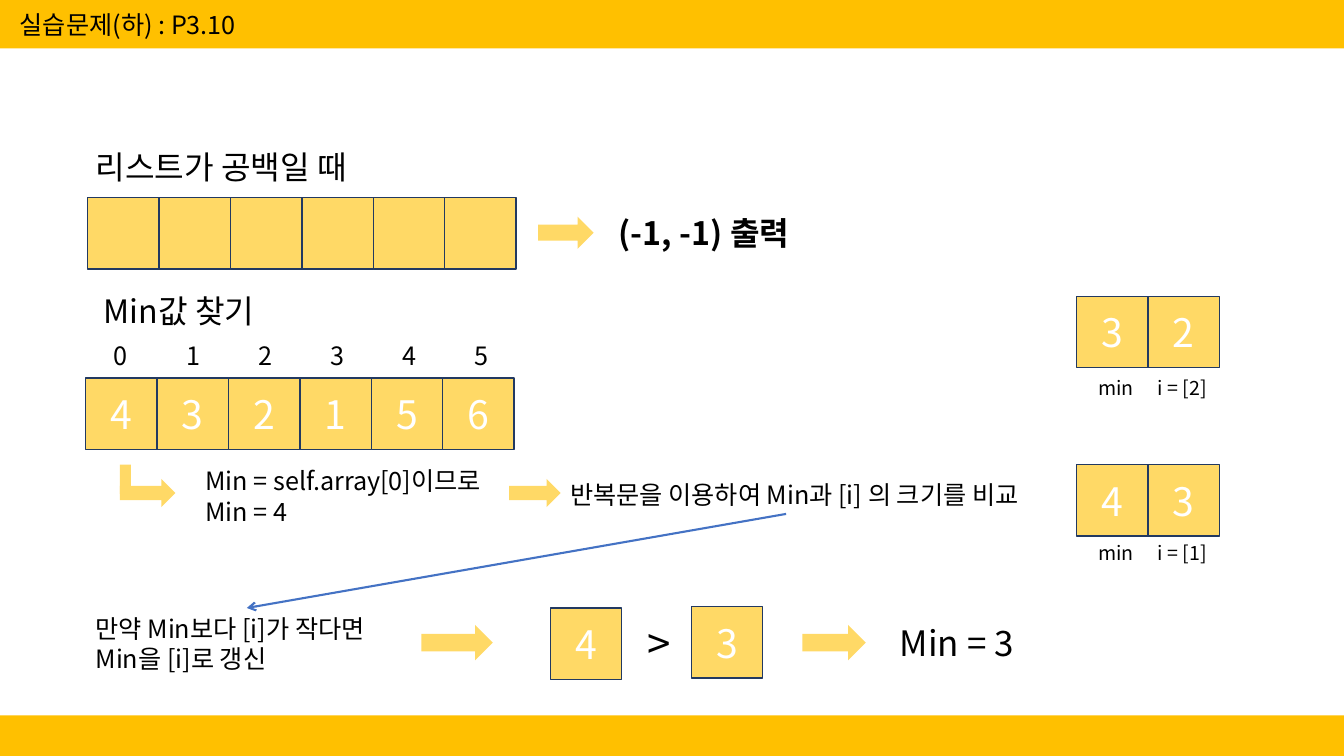
from lxml import etree
from pptx import Presentation
from pptx.dml.color import RGBColor
from pptx.enum import shapes, text
from pptx.oxml import ns
from pptx.util import Cm, Pt

COLORS = {"bar": "FFC000", "cell": "FFD966", "edge": "223961",
          "line": "4472C4", "dark": "000000", "light": "FFFFFF"}
FONT = "Noto Sans CJK KR"
WIDE, HIGH = 33.87, 19.05
SIDE = 1.8


def color(name):
    return RGBColor.from_string(COLORS[name])


def write(frame, words, size=18, tone="dark", bold=False, align=text.PP_ALIGN.LEFT):
    """Fill a text frame, one paragraph per line of words."""
    for n, line in enumerate(words.split("\n")):
        para = frame.add_paragraph() if n else frame.paragraphs[0]
        para.alignment = align
        run = para.add_run()
        run.text = line
        font = run.font
        font.size, font.bold, font.name = Pt(size), bold, FONT
        font.color.rgb = color(tone)
        asian = etree.SubElement(run._r.get_or_add_rPr(), ns.qn("a:ea"))
        asian.set("typeface", FONT)


class Board:
    def __init__(self, slide):
        self.items = slide.shapes

    def block(self, x, y, w, h, fill="cell", kind=shapes.MSO_SHAPE.RECTANGLE):
        shape = self.items.add_shape(kind, Cm(x), Cm(y), Cm(w), Cm(h))
        shape.shadow.inherit = False
        shape.fill.solid()
        shape.fill.fore_color.rgb = color(fill)
        shape.line.fill.background()
        return shape

    def arrow(self, x, y, w, h):
        self.block(x, y, w, h, kind=shapes.MSO_SHAPE.RIGHT_ARROW)

    def cell(self, x, y, words=""):
        shape = self.block(x, y, SIDE, SIDE)
        shape.line.color.rgb = color("edge")
        shape.line.width = Pt(1)
        if words:
            frame = shape.text_frame
            frame.vertical_anchor = text.MSO_ANCHOR.MIDDLE
            write(frame, words, size=28, tone="light", align=text.PP_ALIGN.CENTER)

    def row(self, x, y, values):
        for n, value in enumerate(values):
            self.cell(x + n * SIDE, y, value)

    def label(self, x, y, w, h, words, wrap=True, **style):
        frame = self.items.add_textbox(Cm(x), Cm(y), Cm(w), Cm(h)).text_frame
        frame.word_wrap = wrap
        frame.auto_size = text.MSO_AUTO_SIZE.SHAPE_TO_FIT_TEXT
        write(frame, words, **style)

    def link(self, x1, y1, x2, y2):
        line = self.items.add_connector(
            shapes.MSO_CONNECTOR.STRAIGHT, Cm(x1), Cm(y1), Cm(x2), Cm(y2))
        line.line.color.rgb = color("line")
        line.line.width = Pt(1.5)
        head = etree.SubElement(line.line._get_or_add_ln(), ns.qn("a:tailEnd"))
        head.set("type", "arrow")
        etree.SubElement(line._element.spPr, ns.qn("a:effectLst"))


def main():
    deck = Presentation()
    deck.slide_width, deck.slide_height = Cm(WIDE), Cm(HIGH)
    board = Board(deck.slides.add_slide(deck.slide_layouts[6]))

    # Bars and title
    board.block(0, 18.03, WIDE, 1.02, fill="bar")
    board.block(0, 0, WIDE, 1.22, fill="bar")
    board.label(0.25, 0.1, 16.94, 1.02, "실습문제(하) : P3.10")

    # Empty list
    board.label(2.16, 3.58, 10.8, 1.22, "리스트가 공백일 때", size=23)
    board.row(2.21, 4.98, [""] * 6)
    board.arrow(13.56, 5.46, 1.4, 0.81)
    board.label(15.34, 5.26, 7.01, 1.22, "(-1, -1) 출력", size=23, bold=True)

    # List with its indices
    board.label(2.36, 7.21, 5.41, 1.22, "Min값 찾기", size=23)
    for n in range(6):
        board.label(2.62 + n * 1.82, 8.45, 0.86, 1.02, str(n), wrap=False)
    board.row(2.16, 9.53, "432156")

    # First value, then the loop
    board.block(3.02, 11.71, 0.28, 0.74)
    board.arrow(3.02, 12.07, 1.4, 0.71)
    board.label(4.93, 11.61, 8.61, 1.78, "Min = self.array[0]이므로\nMin = 4")
    board.arrow(12.83, 12.07, 1.3, 0.71)
    board.label(14.12, 11.96, 13.31, 1.02, "반복문을 이용하여 Min과 [i] 의 크기를 비교")
    board.link(19.81, 12.95, 6.22, 15.32)

    # Pairs being compared
    for top, low, pair, index in ((7.47, 9.35, "32", 2), (11.71, 13.51, "43", 1)):
        board.row(27.13, top, pair)
        board.label(27.43, low, 1.5, 0.84, "min", size=14)
        board.label(28.93, low, SIDE, 0.84, f"i = [{index}]", size=14)

    # Update of the minimum
    board.label(2.16, 15.32, 8.13, 1.78, "만약 Min보다 [i]가 작다면 Min을 [i]로 갱신")
    board.arrow(10.62, 15.75, 1.8, 0.89)
    board.cell(13.87, 15.32, "4")
    board.label(16.08, 15.44, 1.6, 1.52, ">", size=30)
    board.cell(17.42, 15.29, "3")
    board.arrow(20.22, 15.75, 1.6, 0.89)
    board.label(22.43, 15.54, 4.19, 1.32, "Min = 3", size=25)

    deck.save("out.pptx")


if __name__ == "__main__":
    main()
